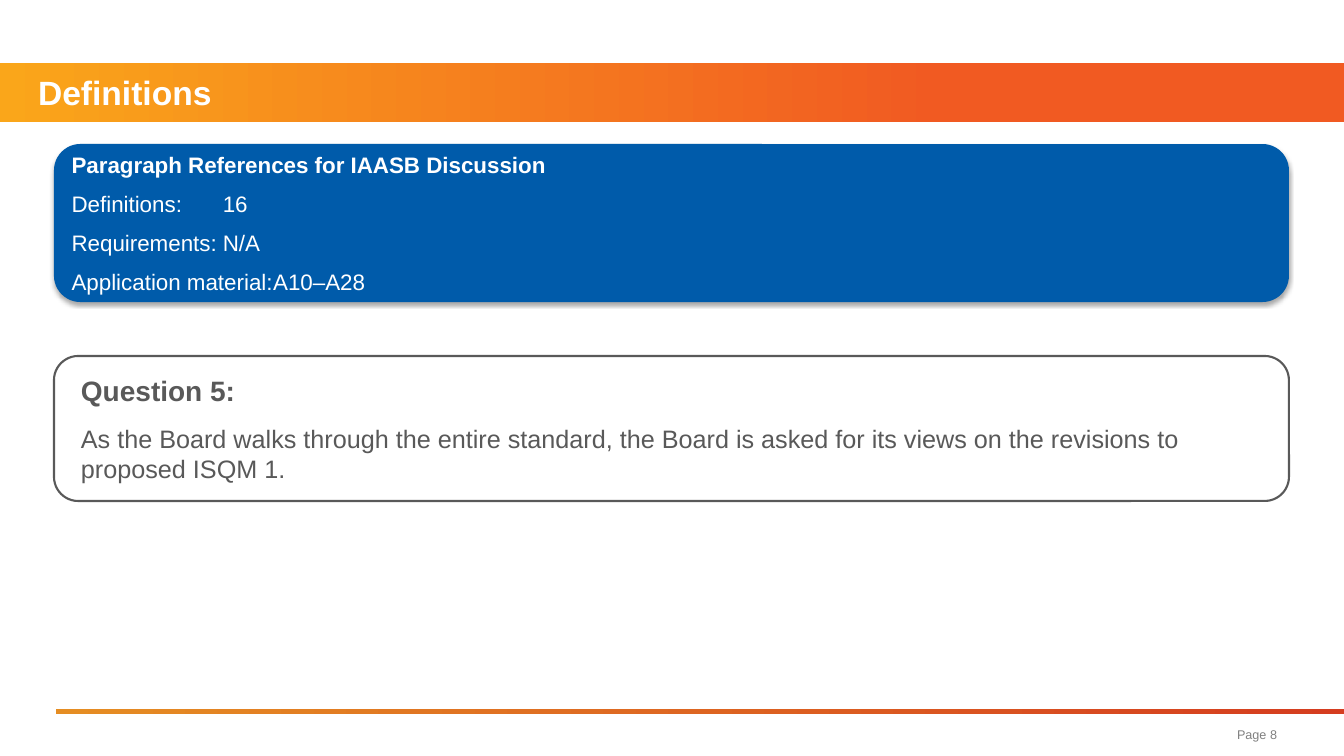
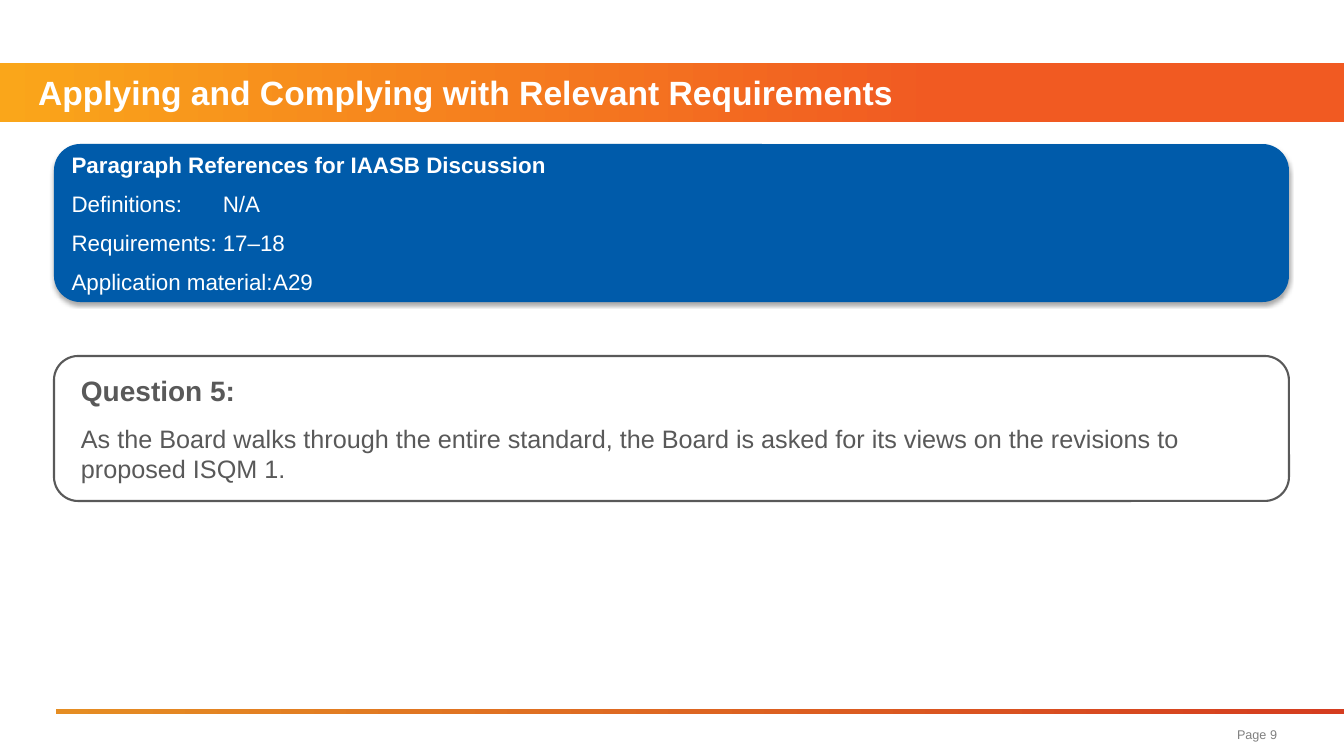
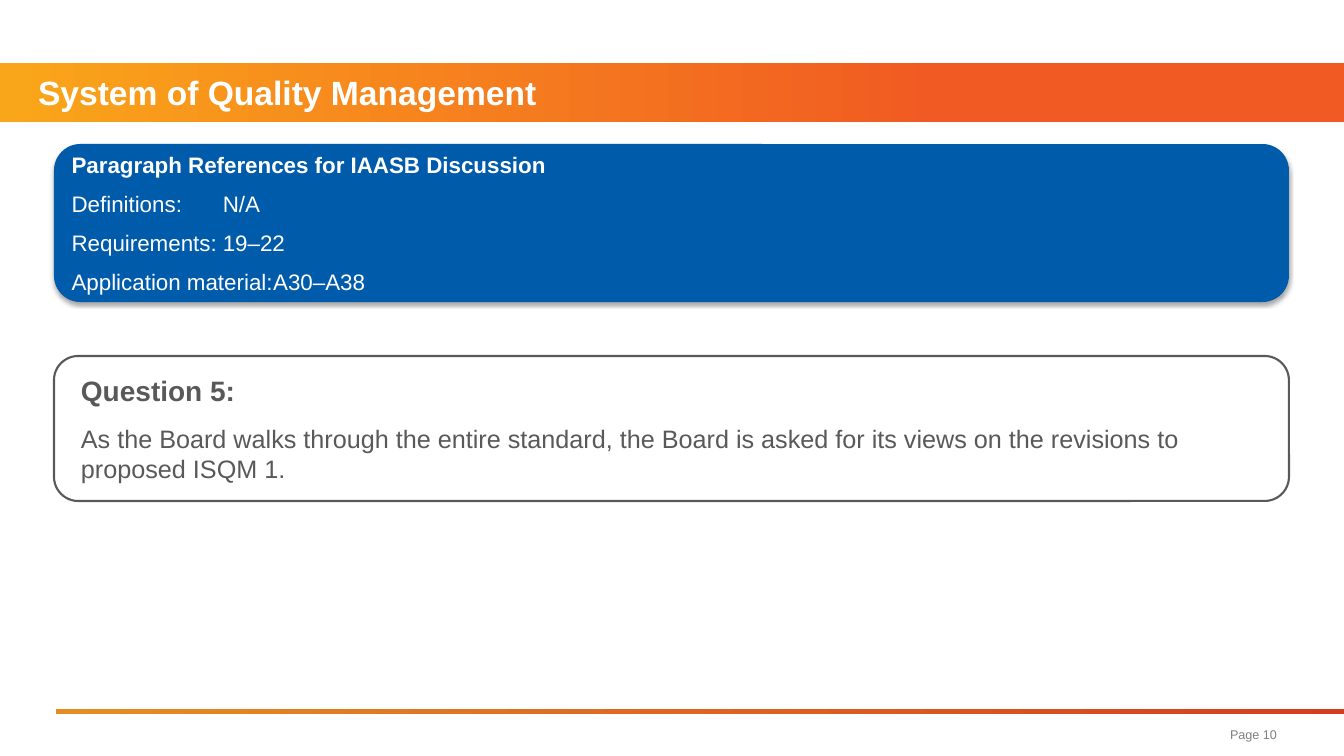
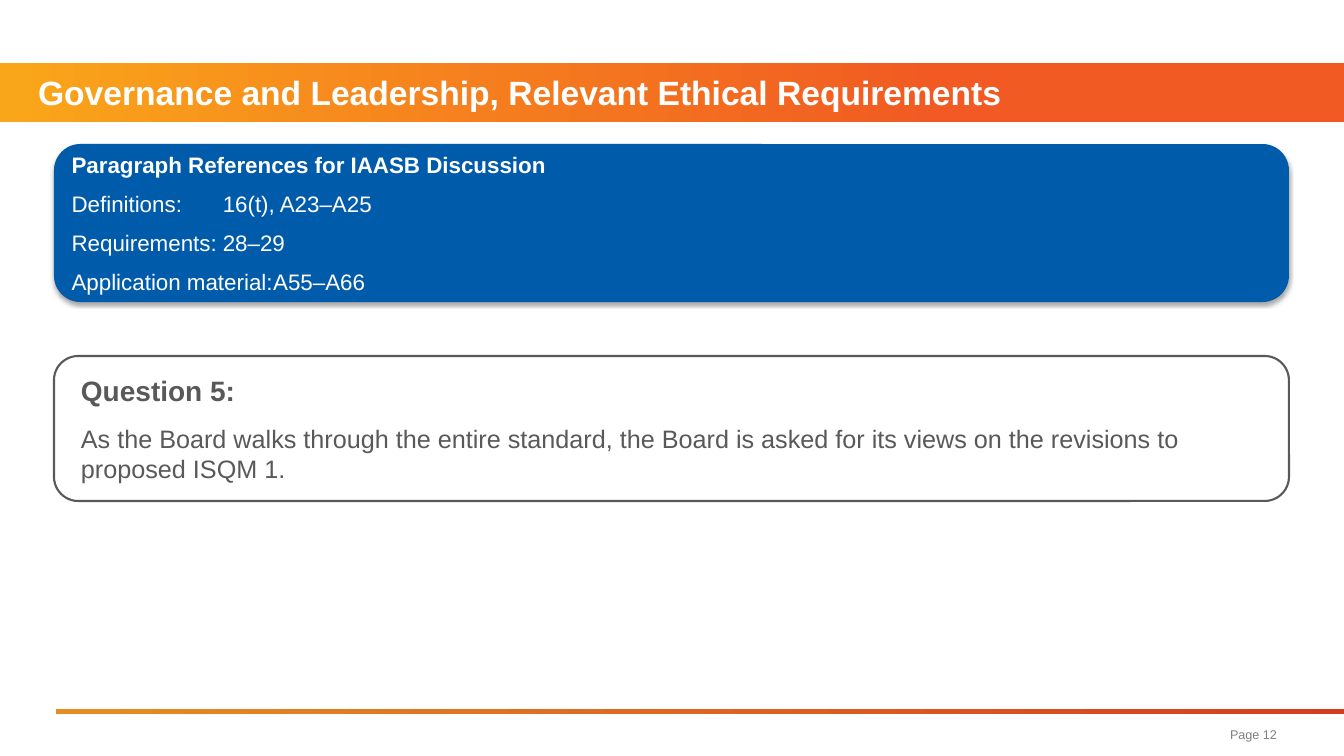
from lxml.etree import SubElement
from pptx import Presentation
from pptx.dml.color import RGBColor
from pptx.enum.shapes import MSO_SHAPE
from pptx.enum.text import MSO_ANCHOR, PP_ALIGN
from pptx.oxml.ns import qn
from pptx.util import Emu, Pt

RECT, ROUNDED = MSO_SHAPE.RECTANGLE, MSO_SHAPE.ROUNDED_RECTANGLE
LEFT, RIGHT = PP_ALIGN.LEFT, PP_ALIGN.RIGHT
MIDDLE = MSO_ANCHOR.MIDDLE

WIDTH, HEIGHT = 1344, 756
EMU_PER_PX = 12192000 / WIDTH
FONT = "Arial"
COLORS = {
    "white": "FFFFFF",
    "blue": "005BAA",
    "text": "595959",
    "page": "808080",
    "band_start": "FAA61A",
    "band_end": "F15A22",
    "rule_start": "E58D23",
    "rule_end": "D53D20",
    "shadow": "000000",
}
TITLE_BOX = (0, 63, WIDTH, 59)
RULE_BOX = (56, 709, WIDTH - 56, 5)
PAGE_BOX = (1047, 718, 230, 33)
REFERENCES_BOX = (54, 144, 1235, 158)
QUESTION_BOX = (54, 356, 1235, 145)
VALUE_TAB = 253

REFERENCE_LABELS = ("Definitions:", "Requirements:", "Application material:")
QUESTION = ("As the Board walks through the entire standard, the Board is asked "
            "for its views on the revisions to proposed ISQM 1.")
TOPICS = [
    (8, "Definitions", ("16", "N/A", "A10–A28")),
    (9, "Applying and Complying with Relevant Requirements",
     ("N/A", "17–18", "A29")),
    (10, "System of Quality Management", ("N/A", "19–22", "A30–A38")),
    (12, "Governance and Leadership, Relevant Ethical Requirements",
     ("16(t), A23–A25", "28–29", "A55–A66")),
]


def px(length):
    return Emu(round(length * EMU_PER_PX))


def rgb(name):
    return RGBColor.from_string(COLORS[name])


def place(shape, box):
    shape.left, shape.top, shape.width, shape.height = map(px, box)


def clear_insets(frame):
    frame.margin_left = frame.margin_right = 0
    frame.margin_top = frame.margin_bottom = 0
    frame.vertical_anchor = MIDDLE
    frame.word_wrap = True


def write(paragraph, text, size, color, bold=False, align=LEFT,
          before=0, indent=0, tab=None):
    properties = paragraph._p.get_or_add_pPr()
    properties.set("marL", str(px(indent)))
    properties.set("indent", "0")
    if tab:
        tabs = SubElement(properties, qn("a:tabLst"))
        SubElement(tabs, qn("a:tab"), pos=str(px(tab)), algn="l")
    paragraph.alignment = align
    paragraph.space_before = Pt(before)
    run = paragraph.add_run()
    run.text = text
    run.font.name = FONT
    run.font.size = Pt(size)
    run.font.bold = bold
    run.font.color.rgb = rgb(color)


def add_panel(slide, preset, box):
    panel = slide.shapes.add_shape(preset, *map(px, box))
    panel.shadow.inherit = False
    panel.line.fill.background()
    panel.text_frame.word_wrap = True
    panel.text_frame.vertical_anchor = MIDDLE
    return panel


def add_gradient_band(slide, box, start, end, end_position):
    band = add_panel(slide, RECT, box)
    band.fill.gradient()
    band.fill.gradient_angle = 0
    stops = band.fill.gradient_stops
    for stop, color, position in zip(stops, (start, end), (0, end_position)):
        stop.color.rgb = rgb(color)
        stop.position = position
    return band


def add_soft_shadow(shape):
    effects = shape.element.spPr.find(qn("a:effectLst"))
    shadow = SubElement(effects, qn("a:outerShdw"), blurRad=str(Pt(3.1)),
                        dist=str(Pt(1.8)), dir="5400000", rotWithShape="0")
    color = SubElement(shadow, qn("a:srgbClr"), val=COLORS["shadow"])
    SubElement(color, qn("a:alpha"), val="35000")


def set_up_layout(layout, slide):
    """Place the title and move the shared bands from the slide to its layout."""
    title = next(p for p in layout.placeholders if p.placeholder_format.idx == 0)
    place(title, TITLE_BOX)
    clear_insets(title.text_frame)
    bands = (
        add_gradient_band(slide, RULE_BOX, "rule_start", "rule_end", 1),
        add_gradient_band(slide, TITLE_BOX, "band_start", "band_end", 0.7),
    )
    for band in bands:
        layout.shapes.element.insert(2, band.element)


def add_title(slide, text):
    write(slide.shapes.title.text_frame.paragraphs[0], text, 24, "white",
          bold=True, indent=38)


def add_page_number(slide, number):
    frame = slide.shapes.add_textbox(*map(px, PAGE_BOX)).text_frame
    clear_insets(frame)
    write(frame.paragraphs[0], f"Page {number}", 9, "page", align=RIGHT)


def add_references(slide, values):
    panel = add_panel(slide, ROUNDED, REFERENCES_BOX)
    panel.fill.solid()
    panel.fill.fore_color.rgb = rgb("blue")
    add_soft_shadow(panel)
    frame = panel.text_frame
    write(frame.paragraphs[0], "Paragraph References for IAASB Discussion",
          16, "white", bold=True)
    for label, value in zip(REFERENCE_LABELS, values):
        write(frame.add_paragraph(), f"{label}\t{value}", 16, "white",
              before=8.8, tab=VALUE_TAB)


def add_question(slide):
    panel = add_panel(slide, ROUNDED, QUESTION_BOX)
    panel.fill.solid()
    panel.fill.fore_color.rgb = rgb("white")
    panel.line.color.rgb = rgb("text")
    panel.line.width = Pt(1.5)
    frame = panel.text_frame
    write(frame.paragraphs[0], "Question 5:", 20, "text", bold=True, indent=10)
    write(frame.add_paragraph(), QUESTION, 18, "text", before=12, indent=10)


def main():
    deck = Presentation()
    deck.slide_width, deck.slide_height = px(WIDTH), px(HEIGHT)
    layout = deck.slide_layouts.get_by_name("Title Only")
    slides = [deck.slides.add_slide(layout) for _ in TOPICS]
    set_up_layout(layout, slides[0])
    for slide, (number, title, references) in zip(slides, TOPICS):
        add_title(slide, title)
        add_page_number(slide, number)
        add_references(slide, references)
        add_question(slide)
    deck.save("out.pptx")


if __name__ == "__main__":
    main()
